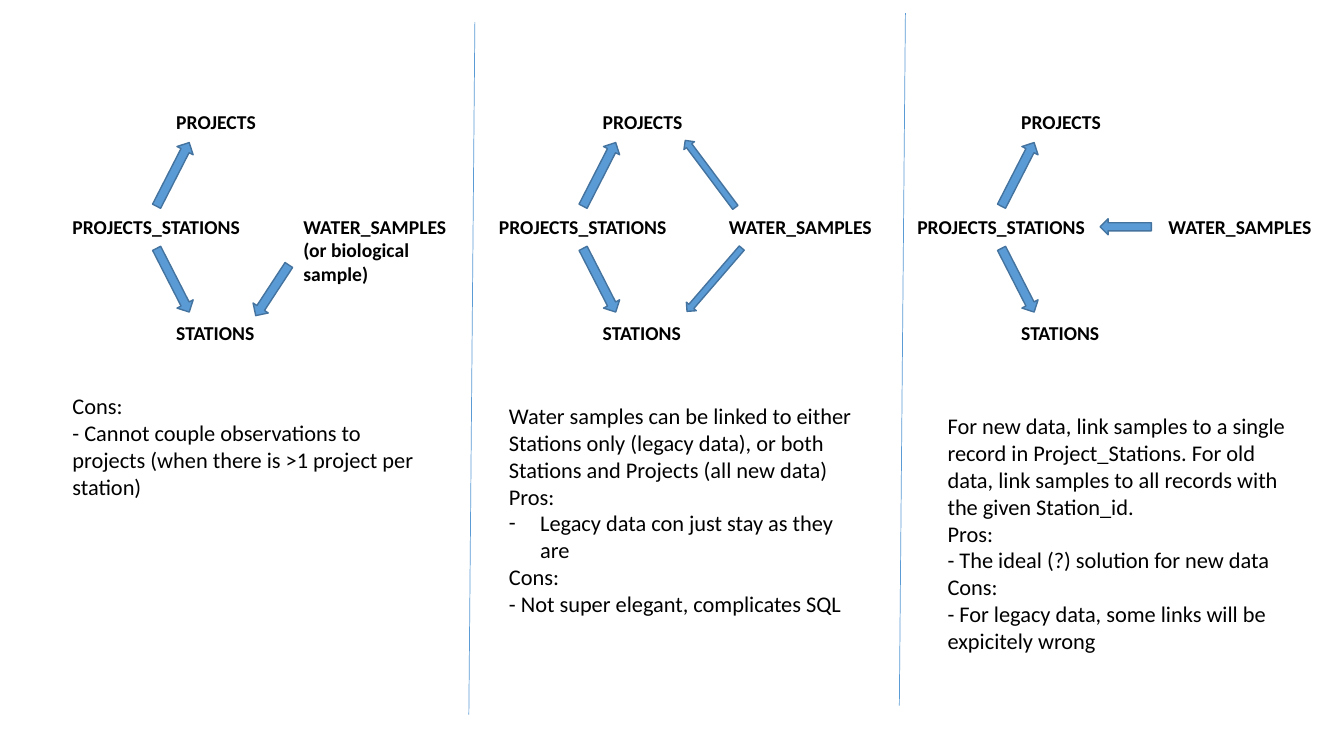
"""Build a slide comparing three ways to link water samples to projects and stations."""
from lxml import etree
from pptx import Presentation
from pptx import util as u
from pptx.dml.color import RGBColor
from pptx.enum import shapes, text
from pptx.oxml import ns

presentation = Presentation()
presentation.slide_width, presentation.slide_height = u.Inches(13.33), u.Inches(7.5)
slide = presentation.slides.add_slide(presentation.slide_layouts[6])

BLUE, OUTLINE, BLACK = "5B9BD5", "43739E", "000000"
COLUMNS = [0.62, 4.85, 9.0]
TOP_ROW, MIDDLE_ROW, BOTTOM_ROW = 1.04, 2.08, 3.13
LABEL_HEIGHT = 0.34
LABEL = {"size": u.Pt(14), "bold": True, "name": "Calibri"}
BODY = {"size": u.Pt(16), "bold": False, "name": "Calibri"}


def add_text(box, paragraphs, formats):
    """Add a text box; a paragraph that starts with a tab gets a dash bullet."""
    shape = slide.shapes.add_textbox(*map(u.Inches, box))
    frame = shape.text_frame
    frame.word_wrap = True
    frame.auto_size = text.MSO_AUTO_SIZE.SHAPE_TO_FIT_TEXT
    for index, words in enumerate(paragraphs):
        paragraph = frame.add_paragraph() if index else frame.paragraphs[0]
        paragraph.text = words.lstrip("\t")
        if words.startswith("\t"):
            properties = paragraph._p.get_or_add_pPr()
            properties.set("marL", str(u.Inches(0.31)))
            properties.set("indent", str(-u.Inches(0.31)))
            etree.SubElement(properties, ns.qn("a:buFont")).set("typeface", "Calibri")
            etree.SubElement(properties, ns.qn("a:buChar")).set("char", "-")
        for run in paragraph.runs:
            for name, value in formats.items():
                setattr(run.font, name, value)
            run.font.color.rgb = RGBColor.from_string(BLACK)


def add_arrow(box, rotation):
    """Add a rotated block arrow."""
    shape = slide.shapes.add_shape(shapes.MSO_SHAPE.RIGHT_ARROW, *map(u.Inches, box))
    shape.rotation = rotation
    shape.shadow.inherit = False
    shape.fill.solid()
    shape.fill.fore_color.rgb = RGBColor.from_string(BLUE)
    shape.line.color.rgb = RGBColor.from_string(OUTLINE)
    shape.line.width = u.Pt(1)


for left in COLUMNS:
    add_text((left, MIDDLE_ROW, 2.06, LABEL_HEIGHT), ["PROJECTS_STATIONS"], LABEL)
    for row, label in [(TOP_ROW, "PROJECTS"), (BOTTOM_ROW, "STATIONS")]:
        add_text((left + 1.03, row, 1.04, LABEL_HEIGHT), [label], LABEL)
    for arrow_top, rotation in [(1.64, 297.1), (2.69, 62.9)]:
        add_arrow((left + 0.74, arrow_top, 0.71, 0.18), rotation)

samples = [
    (2.91, 1.88, 0.81, "WATER_SAMPLES\n(or biological sample)"),
    (7.13, 1.64, LABEL_HEIGHT, "WATER_SAMPLES"),
    (11.49, 1.64, LABEL_HEIGHT, "WATER_SAMPLES"),
]
for left, width, height, label in samples:
    add_text((left, MIDDLE_ROW, width, height), [label], LABEL)

sample_arrows = [
    ((2.4, 2.79, 0.6, 0.18), 123.2),
    ((6.67, 2.71, 0.83, 0.13), 130.8),
    ((6.63, 1.66, 0.83, 0.13), 233.2),
    ((10.91, 2.17, 0.51, 0.16), 180),
]
for box, rotation in sample_arrows:
    add_arrow(box, rotation)

for left, top in [(4.71, 0.22), (8.98, 0.13)]:
    ends = left, top, left - 0.06, top + 6.87
    divider = slide.shapes.add_connector(shapes.MSO_CONNECTOR.STRAIGHT, *map(u.Inches, ends))
    divider.line.color.rgb = RGBColor.from_string(BLUE)
    divider.line.width = u.Pt(0.5)
    etree.SubElement(divider._element.spPr, ns.qn("a:effectLst"))

notes = [
    (0.62, 3.84, 1.18, [
        "Cons:",
        "- Cannot couple observations to projects (when there is >1 project per station)",
    ]),
    (4.95, 3.94, 2.26, [
        "Water samples can be linked to either Stations only (legacy data), "
        "or both Stations and Projects (all new data)",
        "Pros:",
        "\tLegacy data con just stay as they are",
        "Cons:",
        "- Not super elegant, complicates SQL",
    ]),
    (9.3, 4.04, 2.52, [
        "For new data, link samples to a single record in Project_Stations. "
        "For old data, link samples to all records with the given Station_id.",
        "Pros:",
        "- The ideal (?) solution for new data",
        "Cons:",
        "- For legacy data, some links will be expicitely wrong",
    ]),
]
for left, top, height, paragraphs in notes:
    add_text((left, top, 3.73, height), paragraphs, BODY)

presentation.save("out.pptx")
